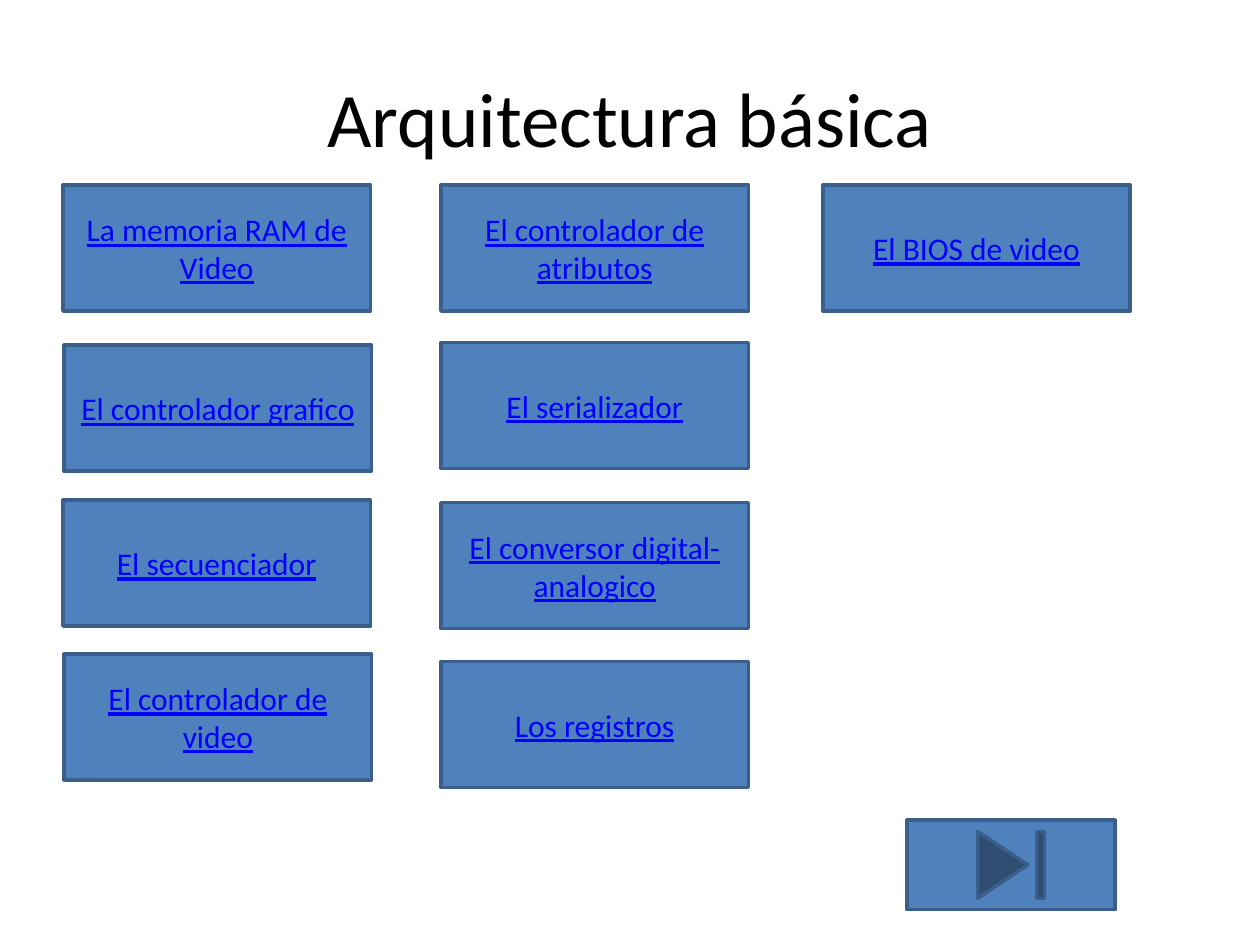
from dataclasses import dataclass

import pptx
import pptx.dml.color
import pptx.enum.shapes
import pptx.enum.text
import pptx.util

Pt = pptx.util.Pt
Shape = pptx.enum.shapes.MSO_SHAPE

COLORS = {
    "title": "000000",
    "link": "0000FF",
    "fill": "4F81BD",
    "border": "3A5F8C",
}
FONT = "Calibri"
BUTTON_WIDTH, BUTTON_HEIGHT = 175.7, 72


@dataclass(frozen=True)
class Topic:
    label: str
    left: float
    top: float


TOPICS = [
    Topic("La memoria RAM de Video", 36, 105.8),
    Topic("El controlador grafico", 36.7, 197.3),
    Topic("El secuenciador", 36, 285.8),
    Topic("El controlador de video", 36.7, 373.7),
    Topic("El controlador de atributos", 252, 105.8),
    Topic("El serializador", 252, 195.8),
    Topic("El conversor digital-analogico", 252, 287.3),
    Topic("Los registros", 252, 378),
    Topic("El BIOS de video", 470.2, 105.8),
]


def rgb(name: str) -> pptx.dml.color.RGBColor:
    return pptx.dml.color.RGBColor.from_string(COLORS[name])


def write_text(shape, text: str, *, size: float, color: str, underline: bool = False) -> None:
    """Fill a shape with one centred, wrapping paragraph."""
    frame = shape.text_frame
    frame.word_wrap = True
    frame.vertical_anchor = pptx.enum.text.MSO_ANCHOR.MIDDLE
    paragraph = frame.paragraphs[0]
    paragraph.alignment = pptx.enum.text.PP_ALIGN.CENTER
    run = paragraph.add_run()
    run.text = text
    run.font.name = FONT
    run.font.size = Pt(size)
    run.font.underline = underline
    run.font.color.rgb = rgb(color)


def add_button(slide, kind: Shape, left: float, top: float, width: float, height: float):
    button = slide.shapes.add_shape(kind, Pt(left), Pt(top), Pt(width), Pt(height))
    button.shadow.inherit = False
    button.fill.solid()
    button.fill.fore_color.rgb = rgb("fill")
    button.line.color.rgb = rgb("border")
    button.line.width = Pt(2)
    return button


def add_topic(slide, topic: Topic) -> None:
    button = add_button(slide, Shape.RECTANGLE, topic.left, topic.top, BUTTON_WIDTH, BUTTON_HEIGHT)
    write_text(button, topic.label, size=18, color="link", underline=True)


def main() -> None:
    presentation = pptx.Presentation()
    presentation.slide_width = Pt(720)
    presentation.slide_height = Pt(540)
    slide = presentation.slides.add_slide(presentation.slide_layouts[6])

    title = slide.shapes.add_textbox(Pt(36), Pt(21.6), Pt(648), Pt(90))
    write_text(title, "Arquitectura básica", size=44, color="title")
    for topic in TOPICS:
        add_topic(slide, topic)
    add_button(slide, Shape.ACTION_BUTTON_END, 518.4, 468.7, 118.8, 51.1)

    presentation.save("out.pptx")


if __name__ == "__main__":
    main()
